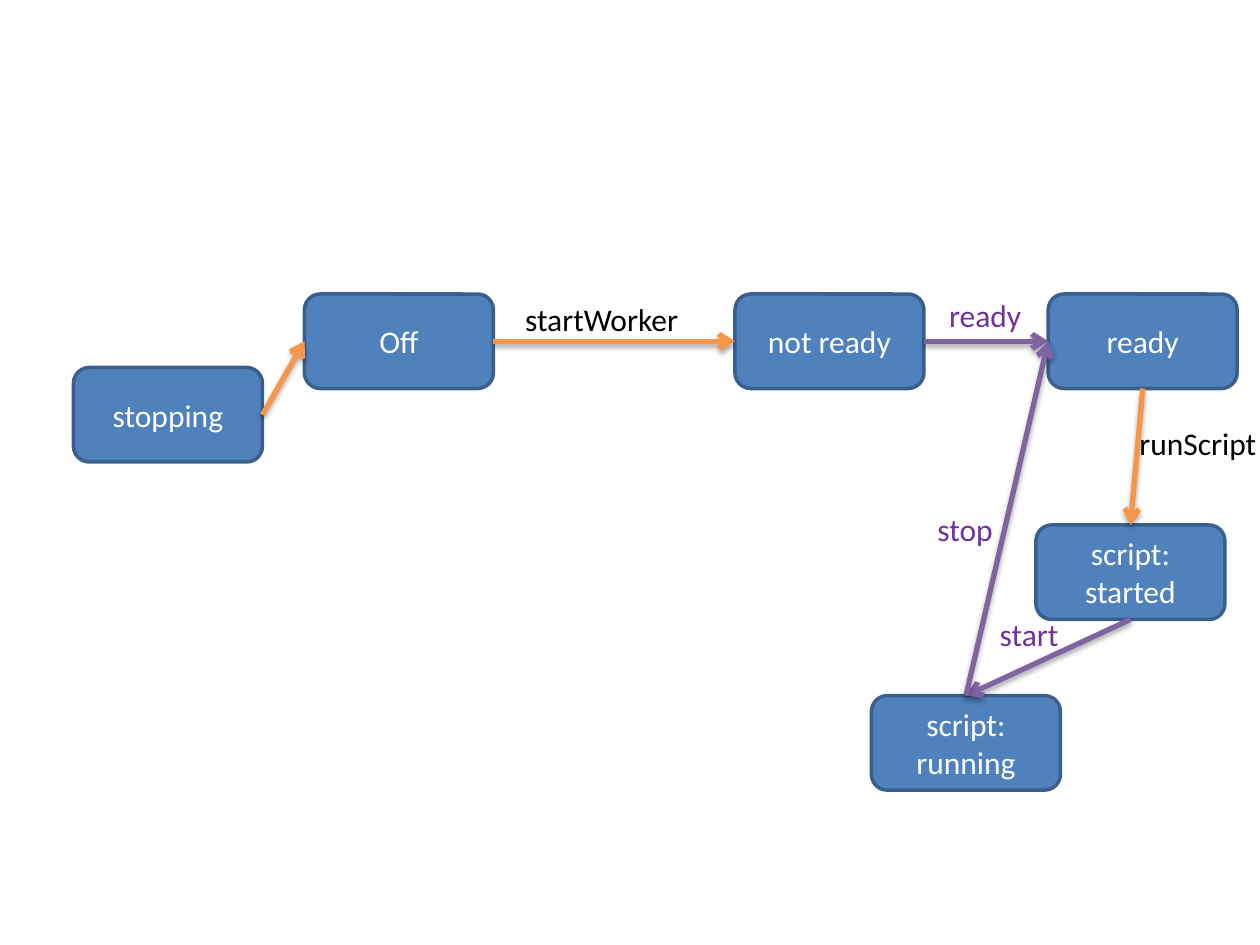
from lxml import etree
from pptx import Presentation
from pptx.dml.color import RGBColor
from pptx.enum.shapes import MSO_CONNECTOR, MSO_SHAPE
from pptx.enum.text import MSO_ANCHOR, MSO_AUTO_SIZE, PP_ALIGN
from pptx.oxml.ns import qn
from pptx.util import Pt

ROUND = MSO_SHAPE.ROUNDED_RECTANGLE
LINE = MSO_CONNECTOR.STRAIGHT
MIDDLE = MSO_ANCHOR.MIDDLE
GROW = MSO_AUTO_SIZE.SHAPE_TO_FIT_TEXT
LEFT, CENTER = PP_ALIGN.LEFT, PP_ALIGN.CENTER
HEX = {"fill": "4F81BD", "edge": "3A5F8C", "white": "FFFFFF", "black": "000000",
       "orange": "F79646", "purple": "8064A2", "violet": "7030A0"}
# Connection sites of a rounded box
TOP, WEST, BOTTOM, EAST = range(4)


def color(name):
    return RGBColor.from_string(HEX[name])


def write(frame, text, tint, align):
    frame.text = text
    for para in frame.paragraphs:
        para.alignment = align
        para.font.name = "Calibri"
        para.font.size = Pt(18)
        para.font.color.rgb = color(tint)


deck = Presentation()
deck.slide_width, deck.slide_height = Pt(720), Pt(540)
slide = deck.slides.add_slide(deck.slide_layouts[6])
shapes = slide.shapes

# States
states = [
    ("off", "Off", 174, 168),
    ("stopping", "stopping", 42, 210),
    ("waiting", "not ready", 420, 168),
    ("ready", "ready", 599, 168),
    ("started", "script:\nstarted", 592, 300),
    ("running", "script:\nrunning", 498, 397.5),
]
boxes = {}
for key, text, left, top in states:
    box = shapes.add_shape(ROUND, Pt(left), Pt(top), Pt(108), Pt(54))
    box.shadow.inherit = False
    box.fill.solid()
    box.fill.fore_color.rgb = color("fill")
    box.line.color.rgb = color("edge")
    box.line.width = Pt(2)
    box.text_frame.vertical_anchor = MIDDLE
    write(box.text_frame, text, "white", CENTER)
    boxes[key] = box

# Transitions, glued to the states
moves = [
    ("stopping", EAST, "off", WEST, "orange"),
    ("off", EAST, "waiting", WEST, "orange"),
    ("ready", BOTTOM, "started", TOP, "orange"),
    ("waiting", EAST, "ready", WEST, "purple"),
    ("started", BOTTOM, "running", TOP, "purple"),
    ("running", TOP, "ready", WEST, "purple"),
]
for start, exit_site, end, entry, tint in moves:
    arrow = shapes.add_connector(LINE, 0, 0, 0, 0)
    arrow.begin_connect(boxes[start], exit_site)
    arrow.end_connect(boxes[end], entry)
    arrow.line.color.rgb = color(tint)
    arrow.line.width = Pt(3)
    # Arrowhead and soft shadow below
    props = arrow.line._get_or_add_ln().getparent()
    etree.SubElement(props.find(qn("a:ln")), qn("a:tailEnd"), type="arrow")
    effects = etree.SubElement(props, qn("a:effectLst"))
    shade = etree.SubElement(effects, qn("a:outerShdw"), blurRad=str(Pt(3.1)),
                             dist=str(Pt(1.8)), dir="5400000", rotWithShape="0")
    black = etree.SubElement(shade, qn("a:srgbClr"), val=HEX["black"])
    etree.SubElement(black, qn("a:alpha"), val="35000")

# Transition labels
labels = [
    ("startWorker", 293, 168, 103, "black", LEFT),
    ("runScript", 643.5, 238.5, 82, "black", CENTER),
    ("ready", 535, 165.5, 56, "violet", CENTER),
    ("start", 564, 348, 48, "violet", CENTER),
    ("stop", 528, 288, 47, "violet", CENTER),
]
for text, left, top, width, tint, align in labels:
    frame = shapes.add_textbox(Pt(left), Pt(top), Pt(width), Pt(29)).text_frame
    frame.word_wrap = False
    frame.auto_size = GROW
    write(frame, text, tint, align)

deck.save("out.pptx")
